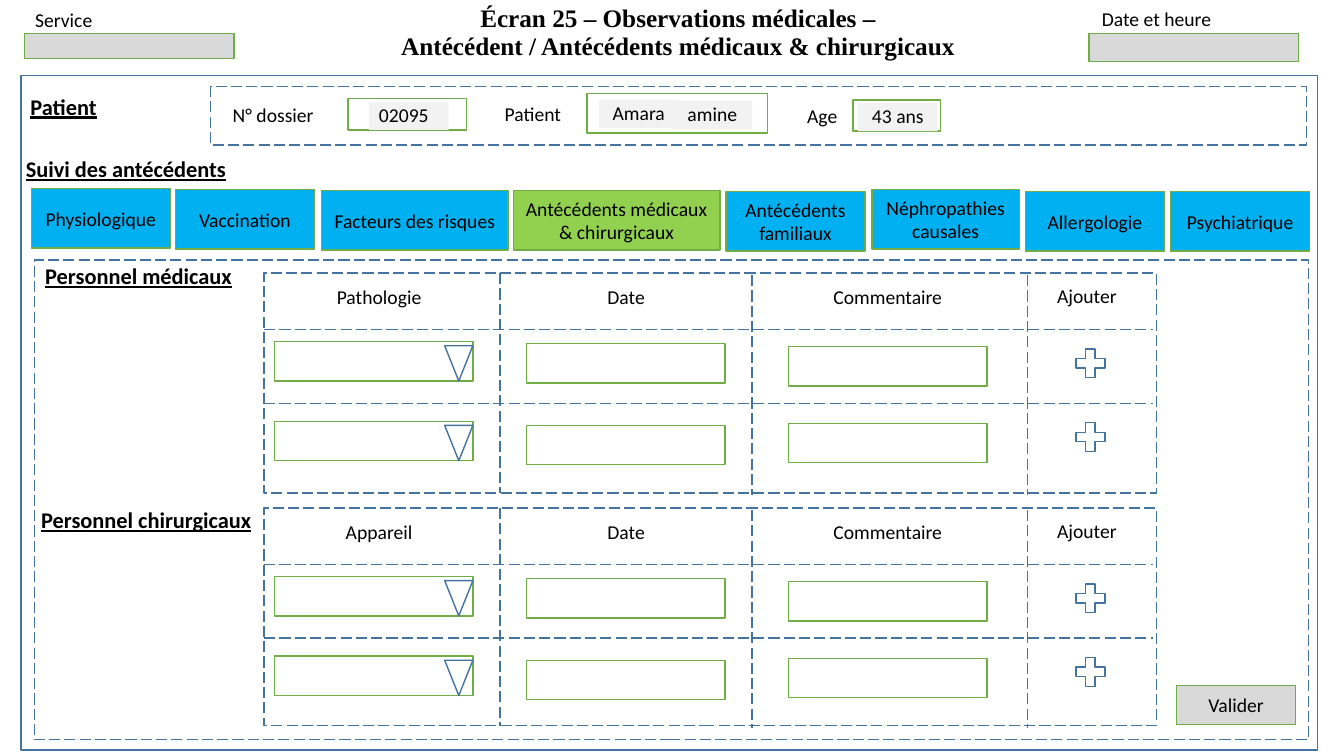
import pptx
import pptx.util
import pptx.dml.color
import pptx.enum.dml
import pptx.enum.shapes
import pptx.enum.text
import pptx.oxml

Inches = pptx.util.Inches
Pt = pptx.util.Pt
RGBColor = pptx.dml.color.RGBColor
Shape = pptx.enum.shapes.MSO_SHAPE
Align = pptx.enum.text.PP_ALIGN
Anchor = pptx.enum.text.MSO_ANCHOR
DASH = pptx.enum.dml.MSO_LINE.LONG_DASH

BLACK = RGBColor(0x00, 0x00, 0x00)
NAVY = RGBColor(0x43, 0x73, 0x9E)
GREEN = RGBColor(0x70, 0xAD, 0x47)
GREY = RGBColor(0xD9, 0xD9, 0xD9)
PALE = RGBColor(0xF2, 0xF2, 0xF2)
BLUE = RGBColor(0x00, 0xB0, 0xF0)
LIME = RGBColor(0x92, 0xD0, 0x50)

HEAD = {"size": 16, "bold": True, "under": True}
LEFT = {"align": Align.LEFT, "anchor": Anchor.TOP, "space": 1}


def write(shape, text, size=14, font="Calibri", bold=False, under=False,
          align=Align.CENTER, anchor=Anchor.MIDDLE, space=0.95, after=0, wrap=True):
    frame = shape.text_frame
    frame.word_wrap = wrap
    frame.vertical_anchor = anchor
    frame.text = text
    for para in frame.paragraphs:
        para.alignment = align
        para.line_spacing = space
        para.space_after = Pt(after)
        para.font.name = font
        para.font.size = Pt(size)
        para.font.bold = bold
        para.font.underline = under
        para.font.color.rgb = BLACK


def label(slide, box, text, **style):
    write(slide.shapes.add_textbox(*map(Inches, box)), text, **style)


def stroke(line, color, dash):
    line.color.rgb = color
    line.width = Pt(1)
    if dash:
        line.dash_style = DASH


def draw(slide, box, kind=Shape.RECTANGLE, fill=None, line=GREEN, dash=False):
    shape = slide.shapes.add_shape(kind, *map(Inches, box))
    shape.shadow.inherit = False
    if fill is None:
        shape.fill.background()
    else:
        shape.fill.solid()
        shape.fill.fore_color.rgb = fill
    if line is None:
        shape.line.fill.background()
    else:
        stroke(shape.line, line, dash)
    return shape


def rule(slide, *ends):
    line = slide.shapes.add_connector(
        pptx.enum.shapes.MSO_CONNECTOR.STRAIGHT, *map(Inches, ends))
    stroke(line.line, NAVY, True)
    props = line._element.spPr
    props.append(pptx.oxml.parse_xml(
        '<a:effectLst xmlns:a="http://schemas.openxmlformats.org/drawingml/2006/main"/>'))


def header(slide, x, y, width):
    label(slide, (x + 3.24, y + 0.07, 6.55, 0.59),
          "Écran 25 – Observations médicales –\n"
          "Antécédent / Antécédents médicaux & chirurgicaux",
          size=18, font="Times New Roman", bold=True, anchor=Anchor.BOTTOM)
    draw(slide, (x + 0.03, y + 0.33, 2.08, 0.25), fill=GREY)
    label(slide, (x + 0.04, y + 0.03, 1.4, 0.34), "Service", **LEFT)
    right = x + width - 2.27
    draw(slide, (right, y + 0.33, 2.08, 0.28), fill=GREY)
    label(slide, (right + 0.03, y + 0.02, 1.3, 0.34), "Date et heure", wrap=False, **LEFT)


def patient(slide, x, y, width, height):
    draw(slide, (x, y, width, height), line=NAVY, dash=True)
    label(slide, (x - 2.05, y - 0.09, 1.18, 0.59), "Patient", **HEAD)
    for left, top, wide, name in ((0.06, 0.07, 1.12, "N° dossier"),
                                  (2.67, 0.06, 1.05, "Patient"),
                                  (5.76, 0.08, 0.61, "Age")):
        label(slide, (x + left, y + top, wide, 0.43), name)
    for left, top, wide, high in ((1.36, 0.12, 1.18, 0.31),
                                  (3.73, 0.07, 1.79, 0.39),
                                  (6.37, 0.13, 0.87, 0.31)):
        draw(slide, (x + left, y + top, wide, high))
    for left, top, value, align in ((1.57, 0.15, "02095", Align.LEFT),
                                    (3.85, 0.13, "Amara", Align.CENTER),
                                    (4.58, 0.14, "amine", Align.CENTER),
                                    (6.42, 0.16, "43 ans", Align.CENTER)):
        field = draw(slide, (x + left, y + top, 0.79, 0.28), fill=PALE, line=None)
        write(field, value, align=align)


def tabs(slide, x, y):
    label(slide, (x - 0.23, y - 0.48, 2.34, 0.59), "Suivi des antécédents", **HEAD)
    for left, top, wide, name, fill in (
            (0, 0, 1.38, "Physiologique", BLUE),
            (1.43, 0.01, 1.38, "Vaccination", BLUE),
            (2.88, 0.02, 1.85, "Facteurs des risques", BLUE),
            (4.78, 0.02, 2.05, "Antécédents médicaux & chirurgicaux", LIME),
            (6.89, 0.03, 1.38, "Antécédents familiaux", BLUE),
            (8.34, 0.01, 1.46, "Néphropathies causales", BLUE),
            (9.86, 0.03, 1.38, "Allergologie", BLUE),
            (11.3, 0.03, 1.38, "Psychiatrique", BLUE)):
        tab = draw(slide, (x + left, y + top, wide, 0.59), fill=fill)
        write(tab, name, space=1)


def grid(slide, x, y, width, height, first):
    """Two-row entry form with a header row and a column of plus signs."""
    draw(slide, (x, y, width, height), line=NAVY, dash=True)
    for left, drop in ((2.34, 0), (4.84, 0.02), (7.57, 0.02)):
        rule(slide, x + left, y + drop, x + left, y + drop + height)
    for top in (0.56, 1.29):
        rule(slide, x, y + top, x + width - 0.03, y + top)
    for left, wide, name in ((0.55, 1.18, first), (3, 1.18, "Date"),
                             (5.4, 1.57, "Commentaire")):
        label(slide, (x + left, y + 0.05, wide, 0.39), name)
    label(slide, (x + 7.67, y + 0.04, 0.98, 0.39), "Ajouter",
          anchor=Anchor.TOP, space=1.07, after=8)
    for left, tops in ((0.1, (0.68, 1.47)), (2.6, (0.7, 1.51)), (5.2, (0.73, 1.49))):
        for top in tops:
            draw(slide, (x + left, y + top, 1.97, 0.39))
    for top in (0.72, 1.51):
        arrow = draw(slide, (x + 1.79, y + top, 0.28, 0.35),
                     Shape.ISOSCELES_TRIANGLE, line=NAVY)
        arrow.rotation = 180
    for top in (0.7, 1.43):
        draw(slide, (x + 8, y + top, 0.39, 0.39), Shape.MATH_PLUS, line=NAVY)


def history(slide, x, y, width, height):
    draw(slide, (x, y, width, height), line=NAVY, dash=True)
    label(slide, (x + 0.01, y - 0.03, 2.08, 0.37), "Personnel médicaux",
          wrap=False, **HEAD, **LEFT)
    label(slide, (x - 0.03, y + 2.39, 2.32, 0.37), "Personnel chirurgicaux",
          wrap=False, **HEAD, **LEFT)
    grid(slide, x + 2.28, y + 0.13, 8.85, 2.18, "Pathologie")
    grid(slide, x + 2.28, y + 2.46, 8.85, 2.16, "Appareil")
    button = draw(slide, (x + width - 1.31, y + height - 0.54, 1.18, 0.39), fill=GREY)
    write(button, "Valider", space=1)


def main():
    deck = pptx.Presentation()
    deck.slide_width = Inches(13.33)
    deck.slide_height = Inches(7.5)
    slide = deck.slides.add_slide(deck.slide_layouts[6])
    header(slide, 0.21, 0, 12.86)
    draw(slide, (0.21, 0.75, 12.86, 6.69), line=NAVY)
    patient(slide, 2.09, 0.86, 10.87, 0.58)
    tabs(slide, 0.31, 1.87)
    history(slide, 0.34, 2.58, 12.64, 4.76)
    deck.save("out.pptx")


if __name__ == "__main__":
    main()
